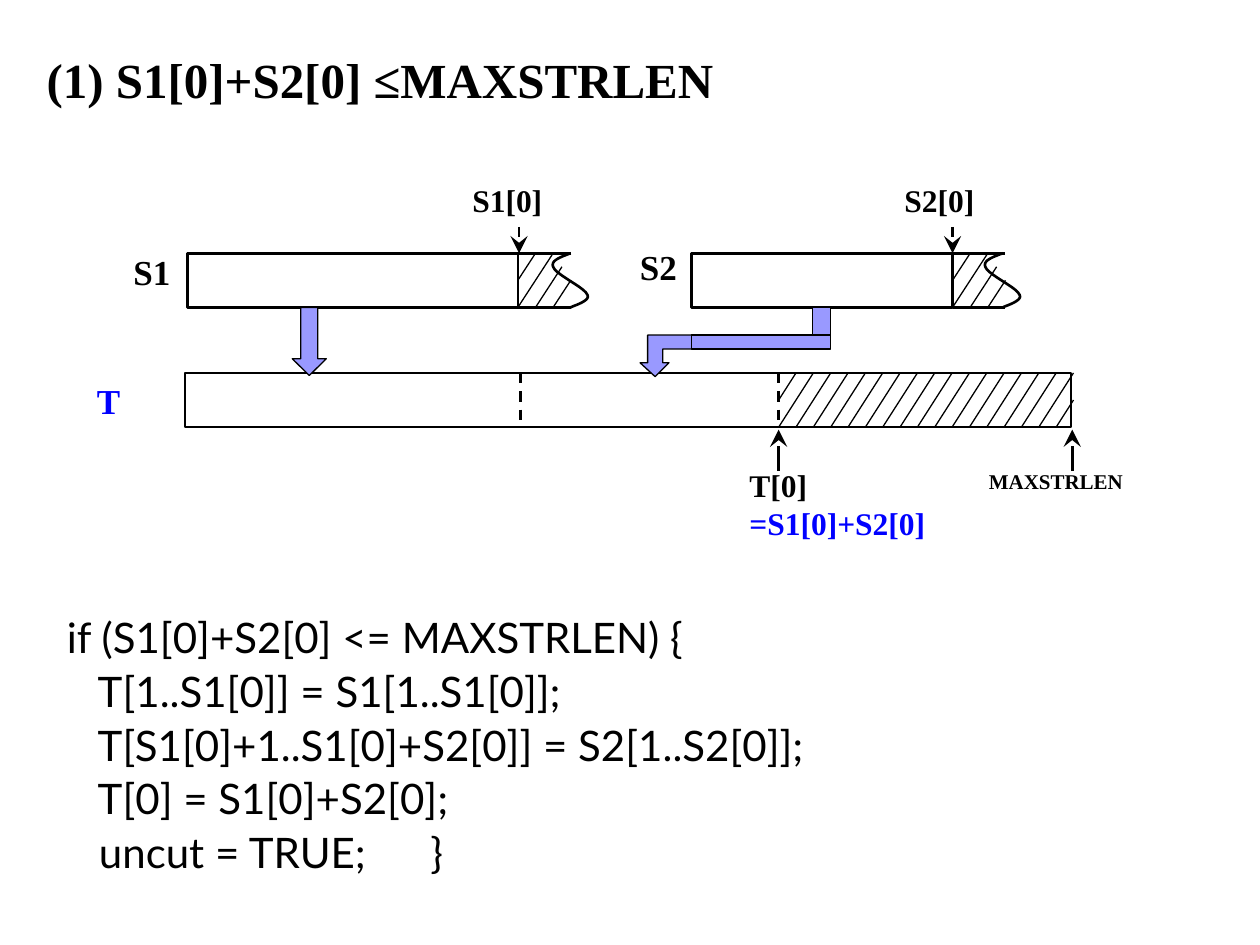
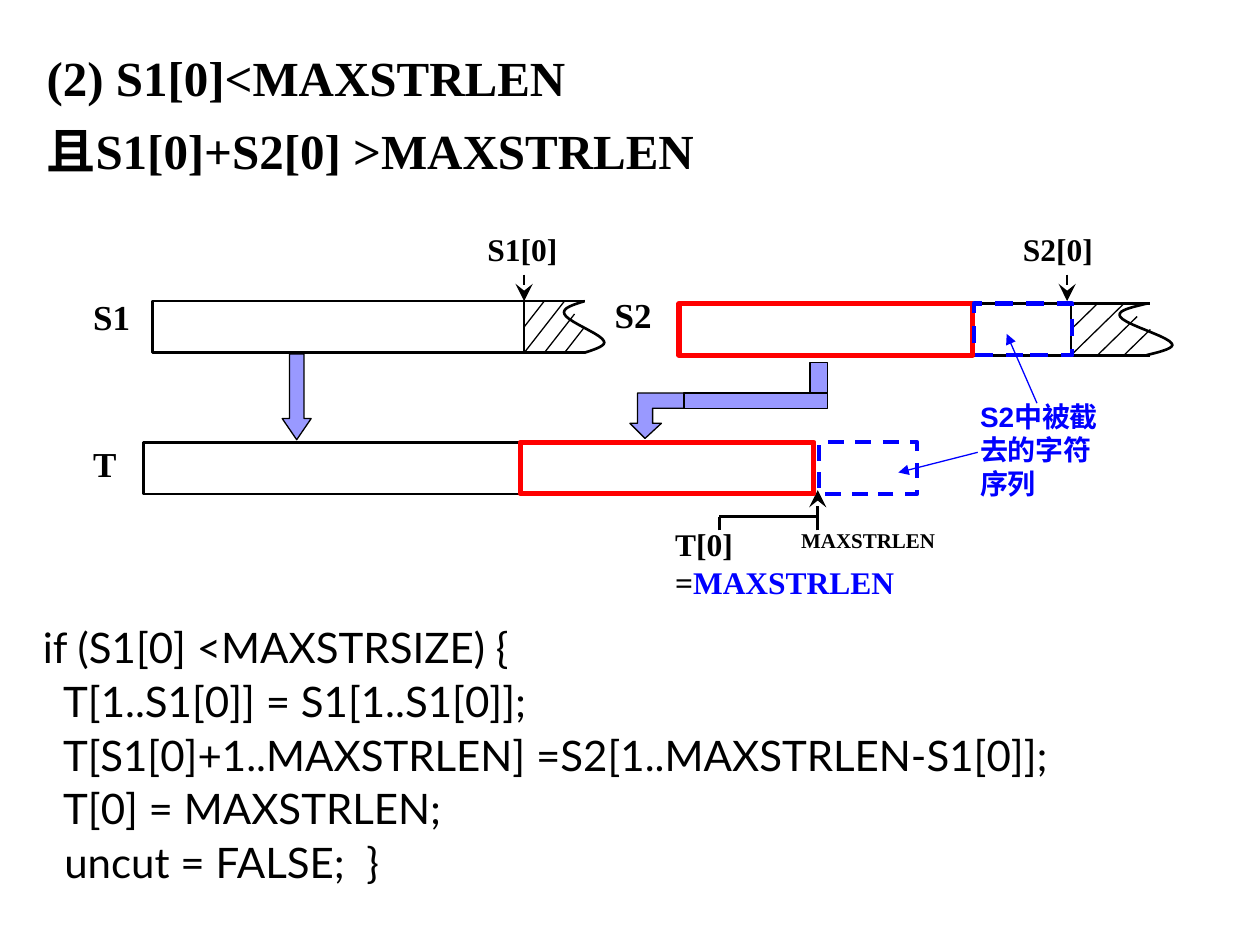
from lxml.etree import SubElement
from pptx import Presentation
from pptx.dml.color import RGBColor
from pptx.enum.dml import MSO_LINE
from pptx.enum.shapes import MSO_CONNECTOR, MSO_SHAPE
from pptx.enum.text import MSO_ANCHOR, MSO_AUTO_SIZE, PP_ALIGN
from pptx.oxml.ns import qn
from pptx.util import Inches, Pt

BLACK, BLUE, RED, LILAC = "000000", "0000FF", "FF0000", "9999FF"
SERIF, SANS, CODE = "Times New Roman", "Arial", "Lato"
THIN, NORMAL, THICK = 0.75, 1.5, 3
# Torn edge: two corners and four control points, in (hatch steps, share of the height)
TORN_EDGE = [
    [(3, 0), (2.45, 0.07), (1.86, 0.13), (2, 0.25)],
    [(2, 0.25), (2.15, 0.4), (3.8, 0.63), (3.95, 0.77)],
    [(3.95, 0.77), (4.15, 0.88), (3.15, 0.97), (3, 1)],
]


def rgb(colour):
    return RGBColor.from_string(colour)


def bezier(a, b, c, d, pieces=10):
    """Points along a cubic curve, without its start."""
    points = []
    for i in range(1, pieces + 1):
        t = i / pieces
        weights = ((1 - t) ** 3, 3 * t * (1 - t) ** 2, 3 * t * t * (1 - t), t ** 3)
        points.append(tuple(sum(w * p[axis] for w, p in zip(weights, (a, b, c, d)))
                            for axis in (0, 1)))
    return points


def write(frame, lines, size, font=SERIF, colour=BLACK, bold=True, spacing=None,
          gap=0, wrap=True, fit=MSO_AUTO_SIZE.SHAPE_TO_FIT_TEXT):
    """Fill a frame; a line is a string or a list of (text, colour) spans."""
    frame.word_wrap = wrap
    frame.auto_size = fit
    frame.vertical_anchor = MSO_ANCHOR.TOP
    for i, line in enumerate(lines):
        para = frame.paragraphs[0] if i == 0 else frame.add_paragraph()
        properties = para._p.get_or_add_pPr()
        properties.set("marL", "0")
        properties.set("indent", "0")
        SubElement(properties, qn("a:buNone"))
        para.alignment = PP_ALIGN.LEFT
        para.space_before = Pt(gap if i else 0)
        if spacing:
            para.line_spacing = spacing
        for text, span_colour in [(line, colour)] if isinstance(line, str) else line:
            span = para.add_run()
            span.text = text
            span.font.name = font
            span.font.size = Pt(size)
            span.font.bold = bold
            span.font.color.rgb = rgb(span_colour)


class Diagram:
    def __init__(self):
        self.deck = Presentation()
        self.deck.slide_width, self.deck.slide_height = Inches(10), Inches(7.5)
        self.page = None

    def add_page(self, title, title_at, code, code_at):
        self.page = self.deck.slides.add_slide(self.deck.slide_layouts[1])
        heading, body = self.page.placeholders
        self.place(heading, title_at)
        write(heading.text_frame, title, 28, spacing=1.25, fit=MSO_AUTO_SIZE.NONE)
        self.place(body, code_at)
        write(body.text_frame, code, 24, CODE, bold=False, spacing=0.9, gap=4.8,
              fit=MSO_AUTO_SIZE.NONE)

    def place(self, shape, at):
        shape.left, shape.top, shape.width, shape.height = map(Inches, at)

    def text(self, lines, at, size=18, **style):
        box = self.page.shapes.add_textbox(*map(Inches, at))
        write(box.text_frame, lines, size, **{"wrap": False, **style})

    def string_name(self, name, left, top, colour=BLACK):
        self.text([name], (left, top, 0.52, 0.43), 20, colour=colour)

    def limit_name(self, left, top):
        self.text(["MAXSTRLEN"], (left, top, 1.3, 0.3), 12)

    def style(self, shape, fill, colour, width, dash=False):
        shape.shadow.inherit = False
        if fill:
            shape.fill.solid()
            shape.fill.fore_color.rgb = rgb(fill)
        else:
            shape.fill.background()
        self.stroke(shape.line, colour, width, dash)

    def stroke(self, line, colour, width, dash):
        line.color.rgb = rgb(colour)
        line.width = Pt(width)
        if dash:
            line.dash_style = MSO_LINE.DASH

    def box(self, at, fill=None, colour=BLACK, width=NORMAL, dash=False):
        shape = self.page.shapes.add_shape(MSO_SHAPE.RECTANGLE, *map(Inches, at))
        self.style(shape, fill, colour, width, dash)

    def line(self, start, end, colour=BLACK, width=NORMAL, dash=False, arrow=None, size="lg"):
        connector = self.page.shapes.add_connector(
            MSO_CONNECTOR.STRAIGHT, *map(Inches, (*start, *end)))
        self.stroke(connector.line, colour, width, dash)
        if arrow:
            SubElement(connector.line._get_or_add_ln(), qn("a:tailEnd"),
                       type=arrow, w=size, len=size)
        SubElement(connector._element.spPr, qn("a:effectLst"))

    def pointer(self, x, start, end):
        self.line((x, start), (x, end), arrow="stealth")

    def outline(self, points, closed, fill, width):
        points = [tuple(map(Inches, point)) for point in points]
        builder = self.page.shapes.build_freeform(*points[0], scale=1.0)
        builder.add_line_segments(points[1:], close=closed)
        self.style(builder.convert_to_shape(), fill, BLACK, width)

    def hatch(self, left, top, height, step, strokes):
        """Slanted strokes, given in (steps, share of the height)."""
        for ends in strokes:
            self.line(*[(left + x * step, top + y * height) for x, y in ends], width=THIN)

    def torn_string(self, left, top, width, height, step, shift=0):
        """A string box whose unused part is hatched and torn off."""
        edge = left + width
        self.box((left, top, width, height))
        for y in (top, top + height):
            self.line((edge, y), (edge + 3 * step, y))
        curve = [TORN_EDGE[0][0]] + [p for part in TORN_EDGE for p in bezier(*part)]
        self.outline([(edge + shift + x * step, top + y * height) for x, y in curve],
                     False, None, NORMAL)
        self.hatch(edge, top, height, step,
                   [((1, 0), (0, 0.5)), ((3, 0.5), (2, 1)),
                    ((2, 0), (0, 1)), ((2.5, 0.25), (1, 1))])

    def down_arrow(self, at, head):
        shape = self.page.shapes.add_shape(MSO_SHAPE.DOWN_ARROW, *map(Inches, at))
        shape.adjustments[0], shape.adjustments[1] = 0.5, head
        self.style(shape, LILAC, BLACK, THIN)

    def bent_arrow(self, left, top, corner, right, bar, head):
        """An arrow from a stub at the right, along a bar, down to a head at the left."""
        points = [(0.12, 3), (head, 2), (0.18, 2), (0.18, 1), (corner - left, 1),
                  (corner - left, 0), (0.06, 0), (0.06, 2), (0, 2)]
        self.outline([(left + x, top + y * bar) for x, y in points], True, LILAC, THIN)
        self.box((corner, top, right - corner, bar), LILAC, width=THIN)
        self.box((right - 0.14, top - 2 * bar, 0.14, 2 * bar), LILAC, width=THIN)


def fits_page(diagram):
    diagram.add_page(
        ["(1) S1[0]+S2[0] ≤MAXSTRLEN"], (0.27, 0.23, 6.61, 0.68),
        ["if (S1[0]+S2[0] <= MAXSTRLEN) {",
         "   T[1..S1[0]] = S1[1..S1[0]];",
         "   T[S1[0]+1..S1[0]+S2[0]] = S2[1..S2[0]];",
         "   T[0] = S1[0]+S2[0];",
         "   uncut = TRUE;      }"], (0.43, 4.85, 8.03, 2.22))
    height, step = 0.43, 0.14
    diagram.torn_string(1.49, 2.01, 2.62, height, step)
    diagram.torn_string(5.49, 2.01, 2.07, height, step, shift=-0.02)
    for name, label_x, pointer_x in (("S1[0]", 3.65, 4.12), ("S2[0]", 7.08, 7.56)):
        diagram.pointer(pointer_x, 1.8, 2.01)
        diagram.text([name], (label_x, 1.39, 0.78, 0.4))

    target_top, used_end, limit = 2.96, 6.18, 8.51
    target_bottom = target_top + height
    diagram.box((1.47, target_top, 7.03, height))
    for x in (4.13, used_end):
        diagram.line((x, target_top), (x, target_bottom), dash=True)
    steps = 17
    strokes = [((k, 0), (k - 2, 1)) for k in range(2, steps + 1)]
    strokes += [((1, 0), (0, 0.5)), ((steps, 0.5), (steps - 1, 1))]
    diagram.hatch(used_end, target_top, height, 2.34 / steps, strokes)

    diagram.string_name("S1", 0.96, 1.94)
    diagram.string_name("S2", 4.98, 1.9)
    diagram.string_name("T", 0.67, 2.96, BLUE)
    diagram.down_arrow((2.32, 2.44, 0.27, 0.54), 0.49)
    diagram.bent_arrow(5.08, 2.66, 5.49, 6.59, bar=0.11, head=0.23)
    for x in (used_end, limit):
        diagram.pointer(x, 3.74, 3.41)
    diagram.text(["T[0]", [("=S1[0]+S2[0]", BLUE)]], (5.85, 3.65, 1.64, 0.7))
    diagram.limit_name(7.75, 3.67)


def truncated_page(diagram):
    diagram.add_page(
        ["(2) S1[0]<MAXSTRLEN", "且S1[0]+S2[0] >MAXSTRLEN"], (0.27, 0.21, 9.21, 1.27),
        ["if (S1[0] <MAXSTRSIZE) {",
         "  T[1..S1[0]] = S1[1..S1[0]];",
         "  T[S1[0]+1..MAXSTRLEN] =S2[1..MAXSTRLEN-S1[0]];",
         "  T[0] = MAXSTRLEN;",
         "  uncut = FALSE;  }"], (0.24, 4.93, 9.25, 2.22))
    height, source_top, target_top = 0.41, 2.41, 3.51
    diagram.torn_string(1.21, 2.39, 2.95, height, 0.16)
    diagram.torn_string(5.39, source_top, 3.11, height, 0.21, shift=-0.03)
    for name, label_x, pointer_x in (("S1[0]", 3.77, 4.16), ("S2[0]", 8.02, 8.47)):
        diagram.pointer(pointer_x, 2.18, 2.39)
        diagram.text([name], (label_x, 1.78, 0.78, 0.4))
    diagram.box((1.14, target_top, 5.33, height))
    diagram.line((4.13, target_top), (4.13, target_top + height), dash=True)
    for name, x, y in (("S1", 0.64, 2.3), ("S2", 4.78, 2.28), ("T", 0.64, 3.46)):
        diagram.string_name(name, x, y)
    diagram.down_arrow((2.24, 2.81, 0.23, 0.68), 0.73)

    limit, length_x, bracket_y = 6.49, 5.71, 4.1
    diagram.pointer(limit, 4.21, 3.89)
    diagram.text(["T[0]", [("=", BLACK), ("MAXSTRLEN", BLUE)]],
                 (5.26, 4.12, 2.26, 0.7), wrap=True)
    diagram.limit_name(6.26, 4.14)
    diagram.line((length_x, 4.21), (length_x, bracket_y))
    diagram.line((length_x, bracket_y), (limit, bracket_y))

    diagram.bent_arrow(5, 3.12, 5.43, 6.57, bar=0.12, head=0.25)
    for left, top in ((4.13, target_top), (5.39, source_top)):
        diagram.box((left, top, 2.33, height), colour=RED, width=THICK)
    diagram.text(["S2中被截", "去的字符", "序列"], (7.68, 3.12, 1.26, 0.9), 16,
                 font=SANS, colour=BLUE, wrap=True)
    for left, top, width in ((6.5, target_top, 2.25), (7.73, source_top, 2.5)):
        diagram.box((left, top, 0.78, height), colour=BLUE, width=width, dash=True)
    for start, end in (((8.23, 3.2), (7.99, 2.65)), ((7.76, 3.59), (7.13, 3.75))):
        diagram.line(start, end, BLUE, THIN, arrow="triangle", size="med")


def main():
    diagram = Diagram()
    fits_page(diagram)
    truncated_page(diagram)
    diagram.deck.save("out.pptx")


if __name__ == "__main__":
    main()
